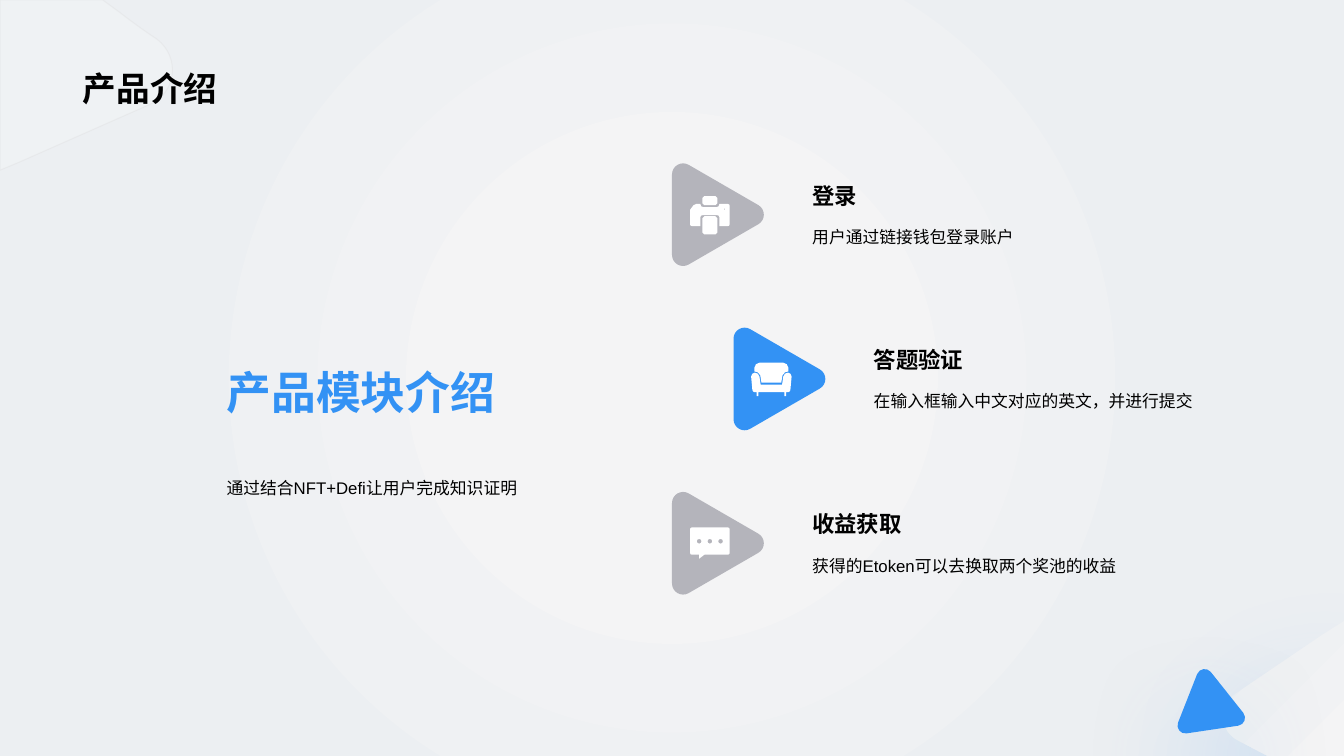
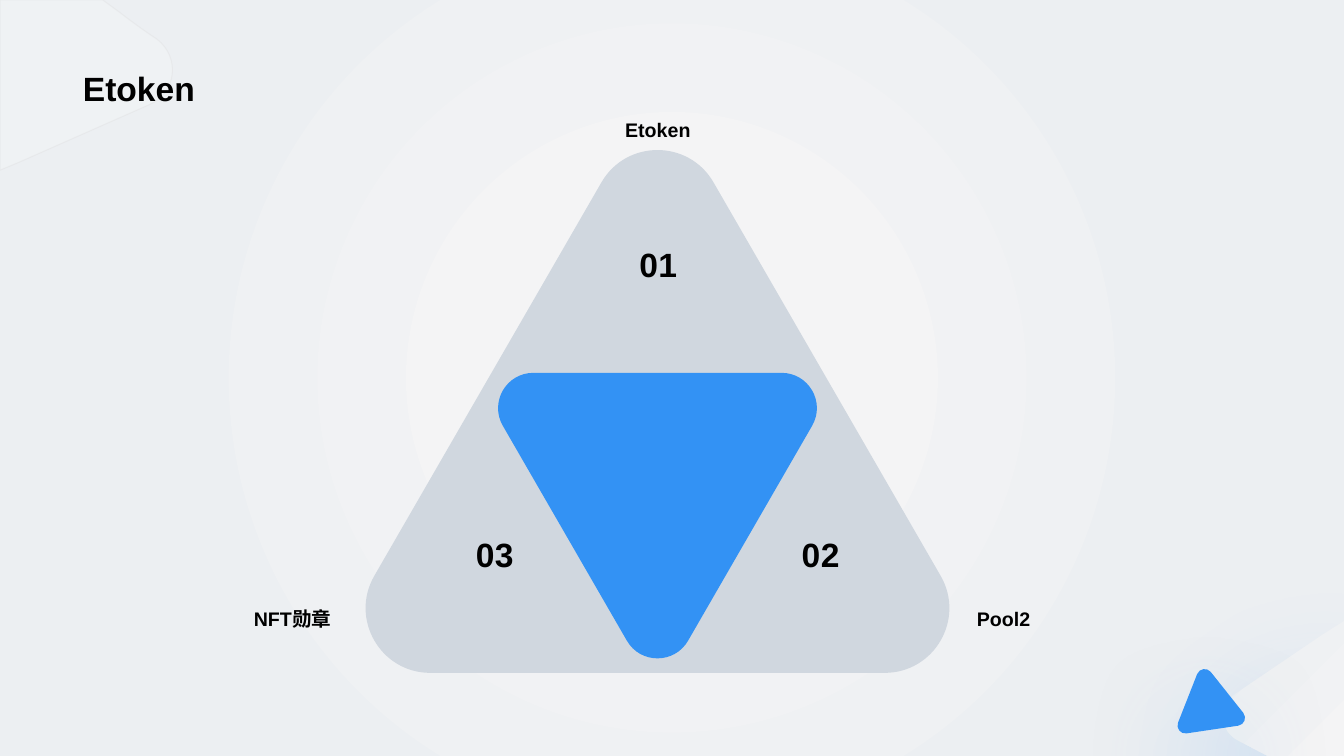
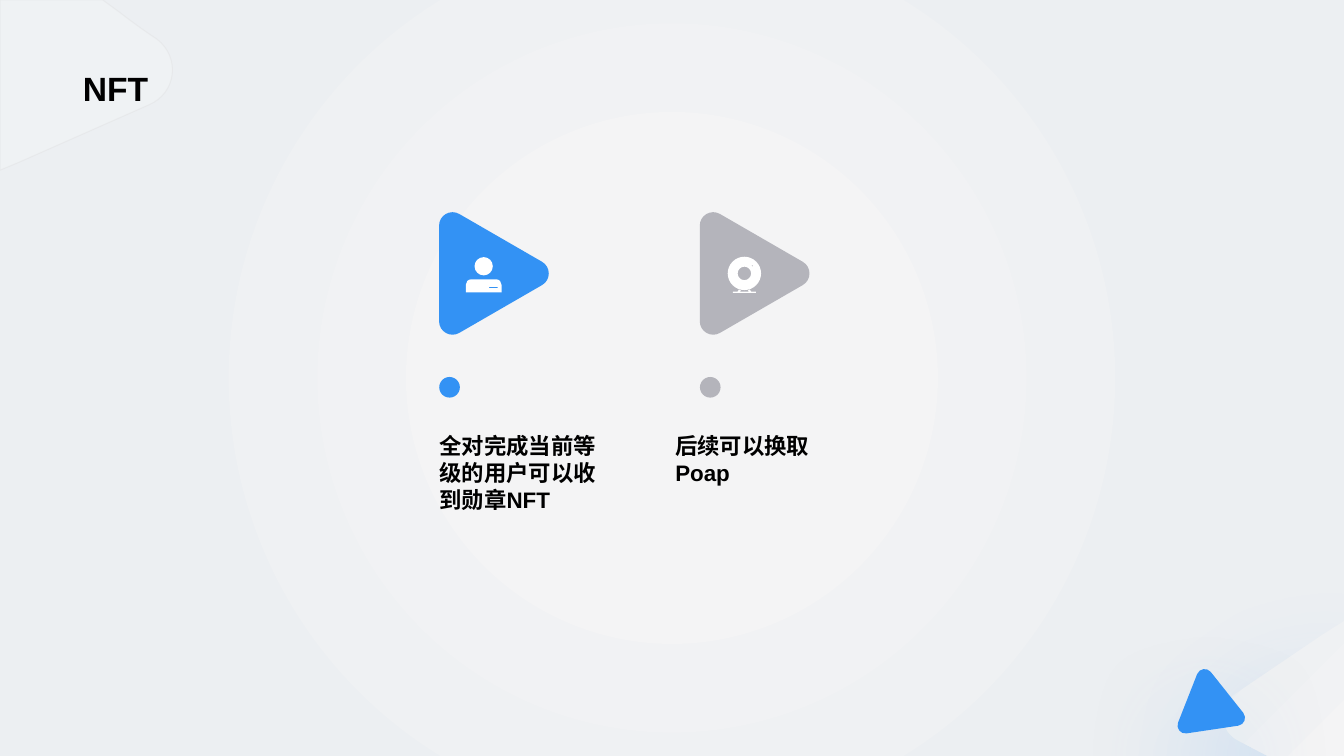
"""Three product slides with rounded triangles and a shared backdrop."""
from math import cos, radians, sin

from pptx import Presentation
from pptx.dml.color import RGBColor
from pptx.enum.shapes import MSO_SHAPE
from pptx.enum.text import MSO_ANCHOR, PP_ALIGN
from pptx.oxml import parse_xml
from pptx.oxml.ns import nsdecls, qn
from pptx.util import Cm, Pt

RECT, OVAL = MSO_SHAPE.RECTANGLE, MSO_SHAPE.OVAL
TOP, BOTTOM = MSO_ANCHOR.TOP, MSO_ANCHOR.BOTTOM
LEFT, MID, RIGHT = PP_ALIGN.LEFT, PP_ALIGN.CENTER, PP_ALIGN.RIGHT

FONT = "Arial"
WIDE, HIGH = 33.87, 19.05
HUES = {"ink": "000000", "white": "FFFFFF", "blue": "3392F4", "grey": "B4B4BB",
        "pale": "D0D7DF", "edge": "D0CECE", "deep": "0C77E2",
        "light": "F4F4F5", "mist": "ECEFF2"}

MODULE = ("产品模块介绍", "通过结合NFT+Defi让用户完成知识证明")
STEPS = [("登录", "用户通过链接钱包登录账户", "printer", "grey", 0),
         ("答题验证", "在输入框输入中文对应的英文，并进行提交", "sofa", "blue", 1.55),
         ("收益获取", "获得的Etoken可以去换取两个奖池的收益", "chat", "grey", 0)]
LABELS = [("Etoken", 15.5, 2.84, 2.16, MID),
          ("Pool2", 24.37, 15.16, 1.85, LEFT),
          ("NFT勋章", 6.11, 15.16, 2.49, RIGHT)]
NUMBERS = [("0 1", 15.27, 6.02), ("0 2", 19.36, 13.34), ("0 3", 11.15, 13.34)]
BADGES = [("全对完成当前等级的用户可以收到勋章NFT", "user", "blue", 10.83),
          ("后续可以换取Poap", "camera", "grey", 16.77)]

LEAF = [(0, 0), (2.59, 0), (3, 0.3), (3.3, 0.53, 3.61, 0.76, 3.96, 0.99),
        (4.55, 1.45, 4.45, 2.34, 3.76, 2.64), (0.48, 4.09), (0, 4.29)]
FLAP = [(WIDE, 15.65), (WIDE, HIGH), (31.95, HIGH), (31.22, 18.67),
        (30.73, 18.44, 30.68, 17.78, 31.14, 17.48), (33.32, 16)]

ICONS = {
    "printer": [
        ("line", [(-0.24, -0.28), (-0.24, -0.23, -0.21, -0.2, -0.17, -0.2), (0.17, -0.2),
                  (0.21, -0.2, 0.24, -0.23, 0.24, -0.28), (0.45, -0.28),
                  (0.48, -0.28, 0.5, -0.26, 0.5, -0.23), (0.5, 0.23),
                  (0.5, 0.26, 0.48, 0.28, 0.45, 0.28), (0.24, 0.28), (0.24, 0.05),
                  (0.24, 0.02, 0.21, 0, 0.17, 0), (-0.17, 0),
                  (-0.21, 0, -0.24, 0.02, -0.24, 0.05), (-0.24, 0.28), (-0.45, 0.28),
                  (-0.48, 0.28, -0.5, 0.26, -0.5, 0.23), (-0.5, -0.13),
                  (-0.41, -0.25), (-0.39, -0.27, -0.37, -0.28, -0.34, -0.28)]),
        ("box", -0.19, 0.03, 0.38, 0.46, 0.05),
        ("box", -0.19, -0.48, 0.38, 0.23, 0.05),
        ("disc", 0.37, -0.15, 0.02)],
    "sofa": [
        ("both", [(0, 0.13), (0.27, 0.13), (0.3, -0.07),
                  (0.31, -0.13, 0.36, -0.17, 0.42, -0.17),
                  (0.47, -0.17, 0.51, -0.12, 0.51, -0.07), (0.48, 0.26),
                  (0.48, 0.29, 0.46, 0.32, 0.43, 0.32), (0.37, 0.32),
                  (0.37, 0.42), (0.33, 0.42), (0.33, 0.32), (0, 0.32)]),
        ("both", [(0, -0.42), (0.3, -0.42),
                  (0.36, -0.42, 0.43, -0.36, 0.43, -0.29), (0.43, -0.2),
                  (0.37, -0.2, 0.3, -0.17, 0.28, -0.1), (0.25, 0.08), (0, 0.08)])],
    "chat": [
        ("line", [(0.45, -0.41), (0.48, -0.41, 0.5, -0.39, 0.5, -0.36), (0.5, 0.23),
                  (0.5, 0.26, 0.48, 0.28, 0.45, 0.28), (-0.14, 0.28), (-0.27, 0.38),
                  (-0.27, 0.28), (-0.45, 0.28), (-0.48, 0.28, -0.5, 0.26, -0.5, 0.23),
                  (-0.5, -0.36), (-0.5, -0.39, -0.48, -0.41, -0.45, -0.41)]),
        ("disc", -0.27, -0.06, 0.06), ("disc", 0, -0.06, 0.06),
        ("disc", 0.27, -0.06, 0.06)],
    "user": [
        ("disc", 0, -0.22, 0.23),
        ("both", [(0, 0.11), (0.32, 0.11),
                  (0.4, 0.11, 0.45, 0.18, 0.45, 0.25), (0.45, 0.44), (0, 0.44)]),
        ("box", 0.14, 0.3, 0.21, 0.03, 0)],
    "camera": [
        ("disc", 0, -0.04, 0.42), ("disc", 0, -0.04, 0.17),
        ("disc", 0.2, -0.23, 0.02),
        ("line", [(-0.14, 0.37), (-0.09, 0.39), (-0.12, 0.42), (-0.17, 0.42)]),
        ("line", [(0.14, 0.37), (0.09, 0.39), (0.12, 0.42), (0.17, 0.42)]),
        ("box", -0.29, 0.42, 0.58, 0.03, 0)]}


def rgb(hue):
    return RGBColor.from_string(HUES[hue])


def line(nodes):
    return nodes


def both(nodes):
    back = []
    for last, node in zip(nodes[-2::-1], nodes[:0:-1]):
        turned = node[2:4] + node[:2] if len(node) == 6 else ()
        back.append(tuple(-v if i % 2 == 0 else v for i, v in enumerate(turned + last[-2:])))
    return nodes + back


def arc(x, y, r, start, end, pull):
    (ca, sa), (cb, sb) = [(cos(radians(a)), sin(radians(a))) for a in (start, end)]
    return [(x + r * ca, y + r * sa),
            (x + r * (ca - pull * sa), y + r * (sa + pull * ca),
             x + r * (cb + pull * sb), y + r * (sb - pull * cb), x + r * cb, y + r * sb)]


def box(x, y, w, h, r):
    if r == 0:
        return [(x, y), (x + w, y), (x + w, y + h), (x, y + h)]
    ends = [(x + w - r, y + h - r), (x + r, y + h - r), (x + r, y + r), (x + w - r, y + r)]
    return [p for i, (a, b) in enumerate(ends) for p in arc(a, b, r, 90 * i, 90 * i + 90, 0.55)]


def disc(x, y, r):
    nodes = box(x - r, y - r, 2 * r, 2 * r, r)
    return nodes[:1] + nodes[1::2]


def trace(nodes):
    pts = []
    for node in nodes:
        if len(node) == 2:
            pts.append(node)
            continue
        knots = [pts[-1], node[:2], node[2:4], node[4:]]
        for i in range(1, 13):
            t = i / 12
            rates = ((1 - t) ** 3, 3 * t * (1 - t) ** 2, 3 * t * t * (1 - t), t ** 3)
            pts.append(tuple(sum(q * k[n] for q, k in zip(rates, knots)) for n in (0, 1)))
    return pts


def plain(shape, hue):
    shape.shadow.inherit = False
    shape.fill.solid()
    shape.fill.fore_color.rgb = rgb(hue)
    shape.line.fill.background()
    return shape


def curve(shape, paths, x, y):
    track = shape.element.spPr.find(".//" + qn("a:path"))
    for step in list(track):
        track.remove(step)
    for nodes in paths:
        for i, node in enumerate(nodes):
            tag = "cubicBezTo" if len(node) == 6 else "lnTo" if i else "moveTo"
            pts = "".join(f'<a:pt x="{Cm(x + a) - shape.left}" y="{Cm(y + b) - shape.top}"/>'
                          for a, b in zip(node[::2], node[1::2]))
            track.append(parse_xml(f'<a:{tag} {nsdecls("a")}>{pts}</a:{tag}>'))
        track.append(parse_xml(f'<a:close {nsdecls("a")}/>'))


def draw(slide, paths, hue, x=0, y=0):
    pens = [[(Cm(x + a), Cm(y + b)) for a, b in trace(nodes)] for nodes in paths]
    pen = slide.shapes.build_freeform(*pens[0][0], scale=1.0)
    pen.add_line_segments(pens[0][1:], close=True)
    for pts in pens[1:]:
        pen.move_to(*pts[0])
        pen.add_line_segments(pts[1:], close=True)
    shape = pen.convert_to_shape()
    curve(shape, paths, x, y)
    return plain(shape, hue)


def wedge(slide, x, y, reach, r, turn, hue):
    nodes = []
    for a in (turn, turn + 120, turn + 240):
        cx, cy = reach * cos(radians(a)), reach * sin(radians(a))
        nodes += arc(cx, cy, r, a - 60, a + 60, 0.77)
    return draw(slide, [nodes], hue, x, y)


def icon(slide, name, x, y):
    make = {"box": box, "disc": disc, "line": line, "both": both}
    draw(slide, [make[kind](*args) for kind, *args in ICONS[name]], "white", x, y)


def say(slide, text, x, y, w, h, size=12, bold=False, hue="ink",
        align=LEFT, anchor=TOP, space=1.0):
    frame = slide.shapes.add_textbox(Cm(x), Cm(y), Cm(w), Cm(h)).text_frame
    frame.word_wrap = True
    frame.vertical_anchor = anchor
    para = frame.paragraphs[0]
    para.alignment, para.line_spacing = align, space
    for part in [text] if isinstance(text, str) else text:
        run = para.add_run()
        run.text = part
        run.font.name, run.font.bold = FONT, bold
        run.font.size = Pt(1 if part == " " else size)
        run.font.color.rgb = rgb(hue)


def blend(shape, stops, way):
    marks = "".join(f'<a:gs pos="{at * 1000}"><a:srgbClr val="{HUES[hue]}"/></a:gs>'
                    for at, hue in stops)
    props = shape.element.spPr
    props.replace(props.find(qn("a:solidFill")), parse_xml(
        f'<a:gradFill {nsdecls("a")}><a:gsLst>{marks}</a:gsLst>{way}</a:gradFill>'))


def fade(tint):
    tint.append(parse_xml(f'<a:alpha {nsdecls("a")} val="20000"/>'))


def glow(shape, hue):
    shape.element.spPr.find(qn("a:effectLst")).append(parse_xml(
        f'<a:outerShdw {nsdecls("a")} blurRad="{Pt(84)}" dist="{Pt(34)}" dir="5400000" '
        f'algn="t" rotWithShape="0"><a:srgbClr val="{HUES[hue]}">'
        f'<a:alpha val="20000"/></a:srgbClr></a:outerShdw>'))


def dress(layout, slide):
    for spot in list(layout.placeholders):
        spot.element.getparent().remove(spot.element)
    back = plain(slide.shapes.add_shape(RECT, 0, 0, Cm(WIDE), Cm(HIGH)), "mist")
    blend(back, [(0, "light"), (23, "light"), (69, "mist"), (100, "mist")],
          '<a:path path="circle"><a:fillToRect l="50000" t="50000" r="50000" b="50000"/></a:path>')
    leaf = draw(slide, [LEAF], "white")
    leaf.line.color.rgb, leaf.line.width = rgb("edge"), Pt(0.75)
    for tint in leaf.element.spPr.iter(qn("a:srgbClr")):
        fade(tint)
    flap = draw(slide, [FLAP], "light")
    blend(flap, [(12, "mist"), (100, "light")], '<a:lin ang="2700000" scaled="0"/>')
    glow(flap, "blue")
    mark = wedge(slide, 30.47, 17.81, 0.76, 0.2, -98.5, "blue")
    glow(mark, "deep")
    for part in (back, leaf, flap, mark):
        layout.shapes.element.append(part.element)


def title(slide, text):
    say(slide, text, 1.84, 0, 30.18, 2.86, size=24, bold=True, anchor=BOTTOM, space=0.9)


def modules(slide):
    title(slide, "产品介绍")
    head, lead = MODULE
    say(slide, head, 5.46, 3.63, 8.74, 7.04, size=32, bold=True, hue="blue",
        anchor=BOTTOM, space=1.5)
    say(slide, lead, 5.46, 11.81, 9.27, 0.81, space=1.2)
    for i, (name, note, sign, hue, shift) in enumerate(STEPS):
        x, y = 17.8 + shift, 5.41 + 4.14 * i
        wedge(slide, x, y, 1.17, 0.28, 0, hue)
        icon(slide, sign, x + 0.09, y + 0.01)
        say(slide, name, x + 2.42, y - 0.95, 8.74, 0.94, size=16, bold=True)
        say(slide, note, x + 2.42, y + 0.08, 8.74, 0.81, space=1.2)


def token(slide):
    for text, x, y, w, align in LABELS:
        say(slide, text, x, y, w, 0.86, size=14, bold=True, align=align)
    title(slide, "Etoken")
    wedge(slide, 16.57, 12.02, 6.61, 1.63, -90, "pale")
    for text, x, y in NUMBERS:
        say(slide, list(text), x, y, 2.64, 1.27, size=24, bold=True, align=MID)
    wedge(slide, 16.57, 12.09, 3.61, 0.89, 90, "blue")


def badges(slide):
    title(slide, "NFT")
    for i, (text, sign, hue, left) in enumerate(BADGES):
        x, y = 12.1 + 6.57 * i, 6.89
        wedge(slide, x, y, 1.39, 0.34, 0, hue)
        icon(slide, sign, x + 0.09, y + 0.04)
        plain(slide.shapes.add_shape(OVAL, Cm(x - 1.03), Cm(9.5), Cm(0.52), Cm(0.52)), hue)
        say(slide, text, left, 10.76, 4.8, 2.31 - 0.68 * i, size=16, bold=True)


def main():
    deck = Presentation()
    deck.slide_width, deck.slide_height = Cm(WIDE), Cm(HIGH)
    blank = deck.slide_layouts[6]
    for i, build in enumerate((modules, token, badges)):
        slide = deck.slides.add_slide(blank)
        if i == 0:
            dress(blank, slide)
        build(slide)
    deck.save("out.pptx")


if __name__ == "__main__":
    main()
